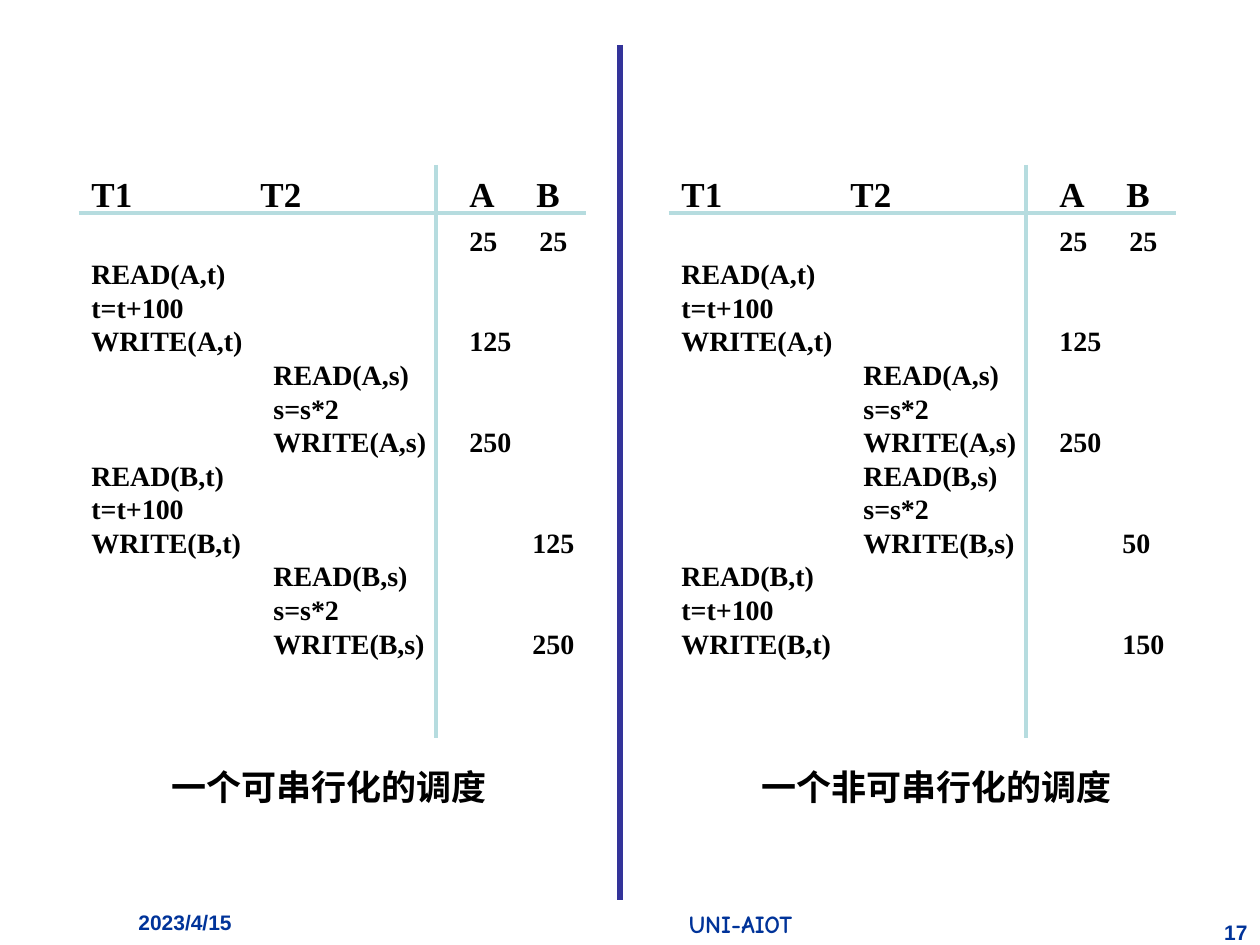
from lxml import etree
from pptx import Presentation
from pptx import util as u
from pptx.dml.color import RGBColor
from pptx.enum import shapes, text
from pptx.oxml.ns import qn

PX = 914400 / 126
COLORS = {"ink": "000000", "rule": "B6DCDF", "divider": "333399", "footer": "003399"}
SERIF, SANS, HAND, CJK = "Times New Roman", "Arial", "Comic Neue", "Noto Sans CJK JP"
HEADER_STOPS = (169, 378, 445)
START_STOPS = (182, 378, 448)
STEP_STOPS = (182, 378, 441)

START = "\t\t25\t25"
T1_A = ["READ(A,t)", "t=t+100", "WRITE(A,t)\t\t125"]
T2_A = ["\tREAD(A,s)", "\ts=s*2", "\tWRITE(A,s)\t250"]
SERIAL = [START, *T1_A, *T2_A,
          "READ(B,t)", "t=t+100", "WRITE(B,t)\t\t\t125",
          "\tREAD(B,s)", "\ts=s*2", "\tWRITE(B,s)\t\t250"]
NON_SERIAL = [START, *T1_A, *T2_A,
              "\tREAD(B,s)", "\ts=s*2", "\tWRITE(B,s)\t\t50",
              "READ(B,t)", "t=t+100", "WRITE(B,t)\t\t\t150"]


def px(length):
    """Turn pixels into EMU."""
    return u.Emu(round(length * PX))


def add_line(page, start, end, color, width):
    """Draw a straight line without shadow."""
    line = page.shapes.add_connector(
        shapes.MSO_CONNECTOR.STRAIGHT, *map(px, (*start, *end)))
    line.line.color.rgb = RGBColor.from_string(COLORS[color])
    line.line.width = u.Pt(width)
    etree.SubElement(line._element.spPr, qn("a:effectLst"))


def set_tabs(para, stops):
    """Give a paragraph left tab stops, in pixels from the text edge."""
    tabs = etree.SubElement(para._p.get_or_add_pPr(), qn("a:tabLst"))
    for stop in stops:
        etree.SubElement(tabs, qn("a:tab"), pos=str(px(stop)), algn="l")


def add_text(page, area, lines, size, font, color="ink", align="LEFT",
             stops=(), spacing=None, grow=False):
    """Place bold lines of text; stops holds one tuple of tabs per line."""
    box = page.shapes.add_textbox(*map(px, area))
    frame = box.text_frame
    frame.word_wrap = True
    if grow:
        frame.auto_size = text.MSO_AUTO_SIZE.SHAPE_TO_FIT_TEXT
    frame.text = "\n".join(lines)
    for para, tabs in zip(frame.paragraphs, stops):
        set_tabs(para, tabs)
    for para in frame.paragraphs:
        para.alignment = getattr(text.PP_ALIGN, align)
        if spacing:
            para.line_spacing = u.Pt(spacing)
        para.font.size = u.Pt(size)
        para.font.bold = True
        para.font.color.rgb = RGBColor.from_string(COLORS[color])
        para.font.name = font
        properties = para.font._element
        etree.SubElement(properties, qn("a:ea"), typeface=font)


def add_schedule(page, left, top, steps, caption):
    """Draw one schedule: header, steps, crossing rules and caption."""
    add_line(page, (left, top + 48), (left + 507, top + 48), "rule", 2.25)
    add_text(page, (left, top, 525, 55), ["T1\tT2\tA\tB"], 20, SERIF,
             stops=[HEADER_STOPS], spacing=25, grow=True)
    add_text(page, (left, top + 52, 525, 454), steps, 16, SERIF,
             stops=[START_STOPS] + [STEP_STOPS] * (len(steps) - 1),
             spacing=19.2, grow=True)
    add_line(page, (left + 357, top), (left + 357, top + 573), "rule", 2.25)
    add_text(page, (left + 80, top + 594, 417, 55), [caption], 20, CJK, grow=True)


def add_footer(page, left, top):
    """Place the date, the footer text and the page number."""
    add_text(page, (left + 126, top, 220, 42), ["2023/4/15"], 12, SANS, "footer")
    add_text(page, (left + 441, top, 599, 42), ["UNI-AIOT"], 14, HAND, "footer", "CENTER")
    add_text(page, (left + 1207, top + 10, 53, 32), ["17"], 12, SANS, "footer", "RIGHT")


def main():
    """Build the slide and save it."""
    deck = Presentation()
    deck.slide_width, deck.slide_height = px(1260), px(945)
    page = deck.slides.add_slide(deck.slide_layouts[6])
    add_footer(page, 0, 903)
    add_line(page, (620, 45), (620, 900), "divider", 3)
    add_schedule(page, 669, 165, NON_SERIAL, "一个非可串行化的调度")
    add_schedule(page, 79, 165, SERIAL, "一个可串行化的调度")
    deck.save("out.pptx")


if __name__ == "__main__":
    main()
